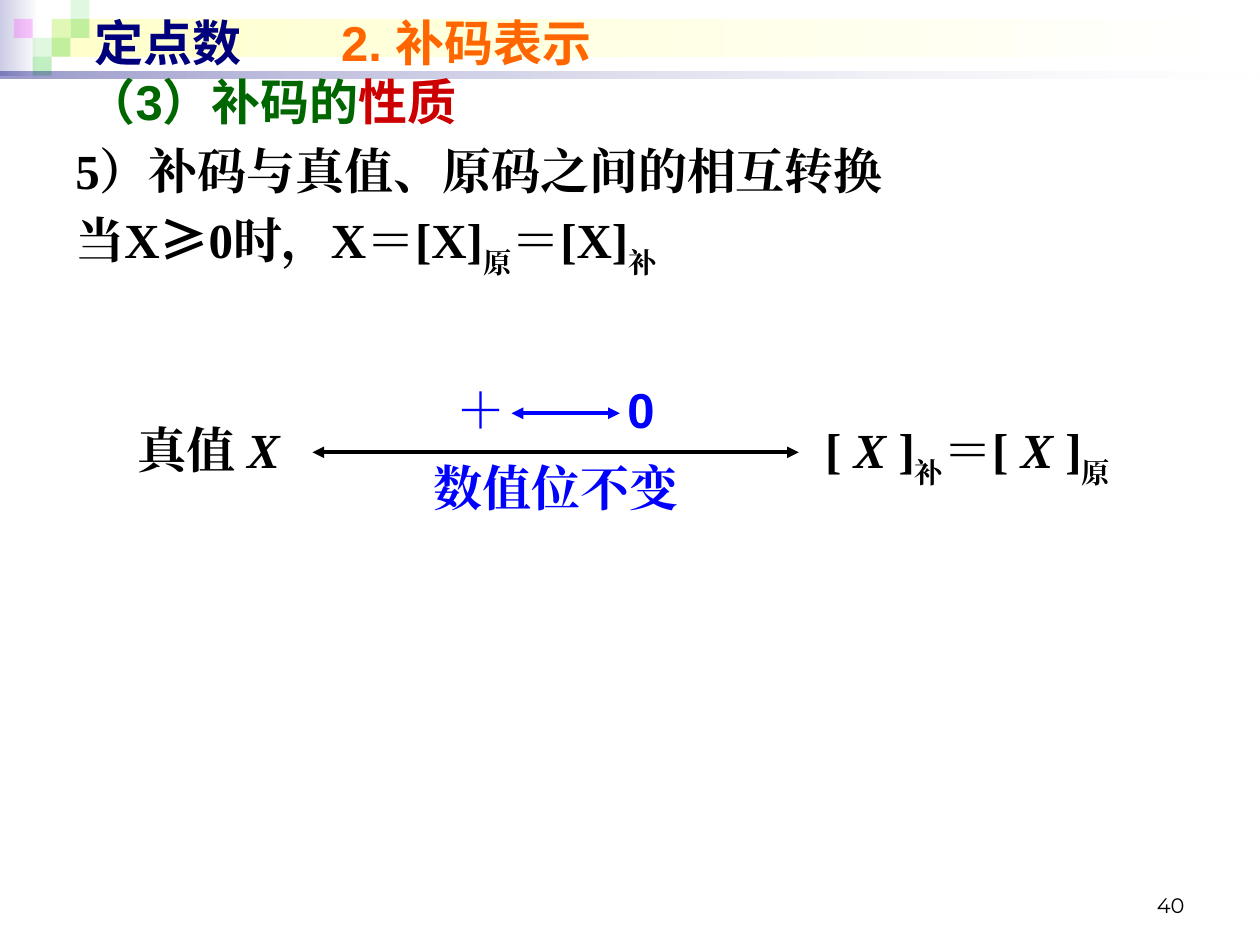
from pptx import Presentation
from pptx.dml.color import RGBColor
from pptx.enum import shapes, text
from pptx.oxml import xmlchemy
from pptx.oxml.ns import qn
from pptx.util import Inches, Pt
from lxml import etree

BLACK, BLUE, NAVY, GREEN = "000000", "0000FF", "00007D", "33CC33"
SERIF, SANS, CJK = "Times New Roman", "Arial", "Noto Sans CJK SC"


def color(value):
    """Turn a hex string into a colour."""
    return RGBColor.from_string(value)


def add_alpha(node, percent):
    """Make a colour element partly opaque."""
    etree.SubElement(node, qn("a:alpha"), val=str(percent * 1000))


def add_block(page, box):
    """Add a rectangle without outline or shadow."""
    block = page.shapes.add_shape(shapes.MSO_SHAPE.RECTANGLE, *map(Inches, box))
    block.shadow.inherit = False
    block.line.fill.background()
    return block


def add_fade(page, box, start, end, opacities=(100, 100)):
    """Add a rectangle that fades from left to right."""
    block = add_block(page, box)
    block.fill.gradient()
    block.fill.gradient_angle = 0
    stops = block.fill.gradient_stops
    for stop, value, place, opacity in zip(stops, (start, end), (0, 1), opacities):
        stop.color.rgb = color(value)
        stop.position = place
    for node, opacity in zip(block._element.spPr.iter(qn("a:srgbClr")), opacities):
        if opacity < 100:
            add_alpha(node, opacity)


def add_tile(page, box, value, opacity):
    """Add a translucent square."""
    block = add_block(page, box)
    block.fill.solid()
    block.fill.fore_color.rgb = color(value)
    add_alpha(next(block._element.spPr.iter(qn("a:srgbClr"))), opacity)


def add_banner(page, left, top):
    """Draw the mosaic banner across the head of the page."""
    side = 0.15
    add_fade(page, (left, top, 0.31, 0.6), "CCCCE6", "FFFFFF")
    add_fade(page, (left + 0.41, top + side, 9.55, 0.3), "FFFFCC", "FFFFFF")
    tiles = [(2, 1, GREEN, 15), (3, 0, GREEN, 15), (3, 1, GREEN, 30), (1, 2, GREEN, 15),
             (0, 1, "FF00FF", 20), (2, 2, GREEN, 30), (1, 3, GREEN, 30)]
    for column, row, value, opacity in tiles:
        place = (left + 0.11 + column * side, top + row * side, side, side)
        add_tile(page, place, value, opacity)
    add_fade(page, (left, top + 0.57, 10, 0.05), NAVY, "FFFFFF", (40, 10))


def add_span(para, words, font=SERIF, size=28, value=BLACK, bold=True, italic=False, sub=False):
    """Add one formatted run."""
    span = para.add_run()
    span.text = words
    span.font.name = font
    span.font.size = Pt(size)
    span.font.bold = bold
    span.font.italic = italic
    span.font.color.rgb = color(value)
    if sub:
        span.font._element.set("baseline", "-30000")
    etree.SubElement(span.font._element, qn("a:ea"), typeface=font)


def add_text(page, box, paras, anchor="TOP", align="LEFT", before=0, tab=None, inset=0.1):
    """Add a text box; each paragraph is a list of (words, format) pairs."""
    frame = page.shapes.add_textbox(*map(Inches, box)).text_frame
    frame.word_wrap = True
    frame.vertical_anchor = text.MSO_ANCHOR[anchor]
    frame.margin_left = Inches(inset)
    for index, spans in enumerate(paras):
        para = frame.add_paragraph() if index else frame.paragraphs[0]
        para.alignment = text.PP_ALIGN[align]
        para.space_before = Pt(before)
        if tab:
            stops = etree.SubElement(para._p.get_or_add_pPr(), qn("a:tabLst"))
            etree.SubElement(stops, qn("a:tab"), pos=str(Inches(tab)), algn="l")
        for words, style in spans:
            add_span(para, words, **style)


def add_arrow(page, start, end, top, value):
    """Add a horizontal line with a head at both ends."""
    arrow = page.shapes.add_connector(
        shapes.MSO_CONNECTOR.STRAIGHT, Inches(start), Inches(top), Inches(end), Inches(top))
    arrow.line.color.rgb = color(value)
    arrow.line.width = Pt(2.25)
    for name in ("a:headEnd", "a:tailEnd"):
        etree.SubElement(arrow.line._ln, qn(name), type="triangle")
    etree.SubElement(arrow._element.spPr, qn("a:effectLst"))


def add_headings(page, left, top):
    """Place the title and the section heading."""
    add_text(page, (left + 0.06, top, 9, 0.57), [[
        ("定点数\t", dict(font=SANS, value=NAVY)),
        ("2. 补码表示", dict(font=SANS, value="FF6600"))]], "MIDDLE", tab=1.96)
    add_text(page, (left, top + 0.47, 9, 0.57), [[
        ("（3）补码的", dict(font=SANS, value="006600")),
        ("性质", dict(font=SANS, value="CC0000"))]], "MIDDLE")


def add_body(page, box):
    """Place the statement of the rule."""
    sub = dict(sub=True)
    add_text(page, box, [
        [("5）补码与真值、原码之间的相互转换", {})],
        [("当X", {}), ("≥", dict(font=CJK)), ("0时，X＝[X]", {}), ("原", sub),
         ("＝[X]", {}), ("补", sub)]], before=5.6)


def add_conversion(page, left, top):
    """Draw the two-way conversion between true value and complement."""
    italic, sub, blue = dict(italic=True), dict(sub=True), dict(value=BLUE)
    add_text(page, (left, top + 0.32, 1.65, 0.57), [[("真值 ", {}), ("X", italic)]],
             align="CENTER")
    add_arrow(page, left + 1.65, left + 5.51, top + 0.63, BLACK)
    add_text(page, (left + 5.43, top + 0.32, 2.84, 0.57), [[
        ("[ ", {}), ("X ", italic), ("]", {}), ("补", sub),
        ("＝[ ", {}), ("X ", italic), ("]", {}), ("原", sub)]], align="CENTER")
    add_text(page, (left + 2.2, top, 2.76, 0.57), [[
        ("＋\t", blue), ("0", dict(font=SANS, value=BLUE))]], tab=1.36, inset=0.59)
    add_arrow(page, left + 3.23, left + 4.09, top + 0.32, BLUE)
    add_text(page, (left + 2.36, top + 0.62, 2.44, 0.57), [[("数值位不变", blue)]],
             align="CENTER")


def main():
    """Build and save the deck."""
    deck = Presentation()
    deck.slide_width, deck.slide_height = Inches(10), Inches(7.5)
    page = deck.slides.add_slide(deck.slide_layouts[6])
    add_banner(page, 0, 0)
    number = dict(font="Montserrat", size=12, bold=False)
    add_text(page, (7.17, 6.83, 2.33, 0.5), [[("40", number)]], "BOTTOM", "RIGHT")
    add_headings(page, 0.59, 0.05)
    add_body(page, (0.5, 1.07, 9.15, 6.14))
    add_conversion(page, 0.83, 2.96)
    deck.save("out.pptx")


if __name__ == "__main__":
    main()
